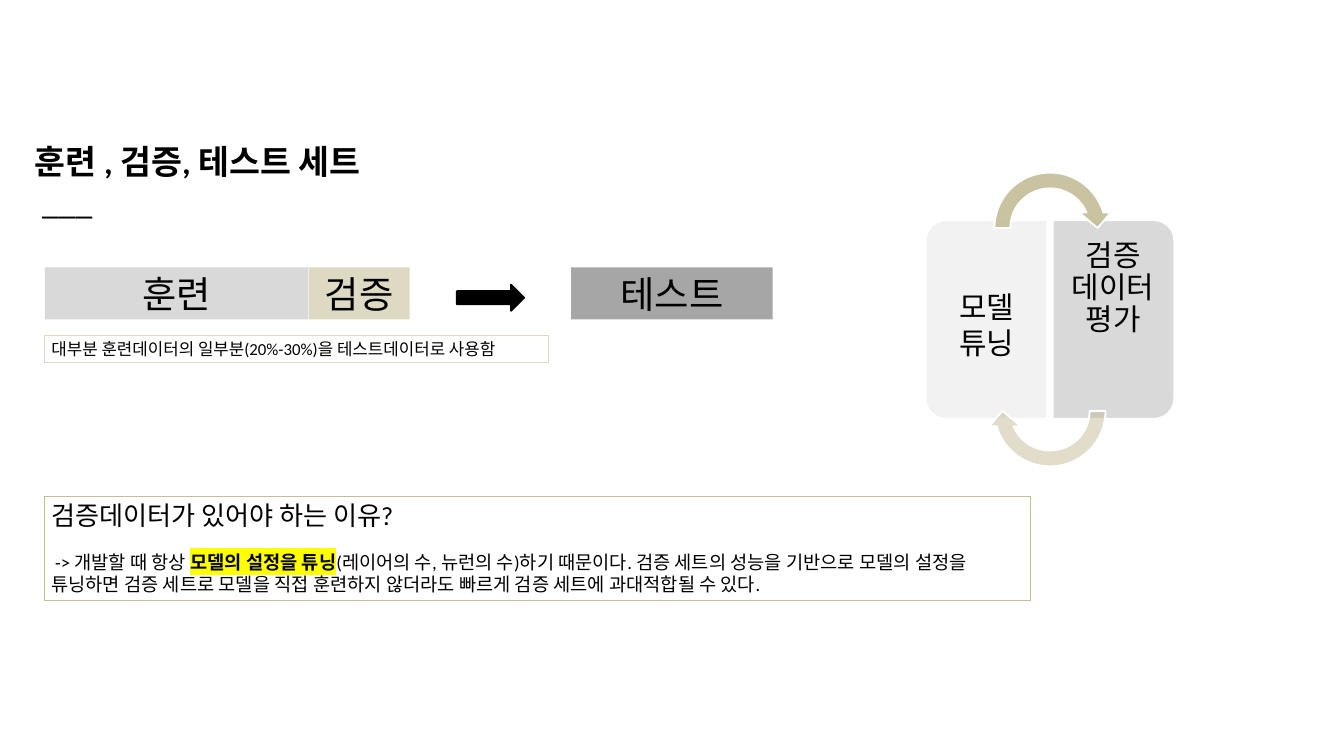
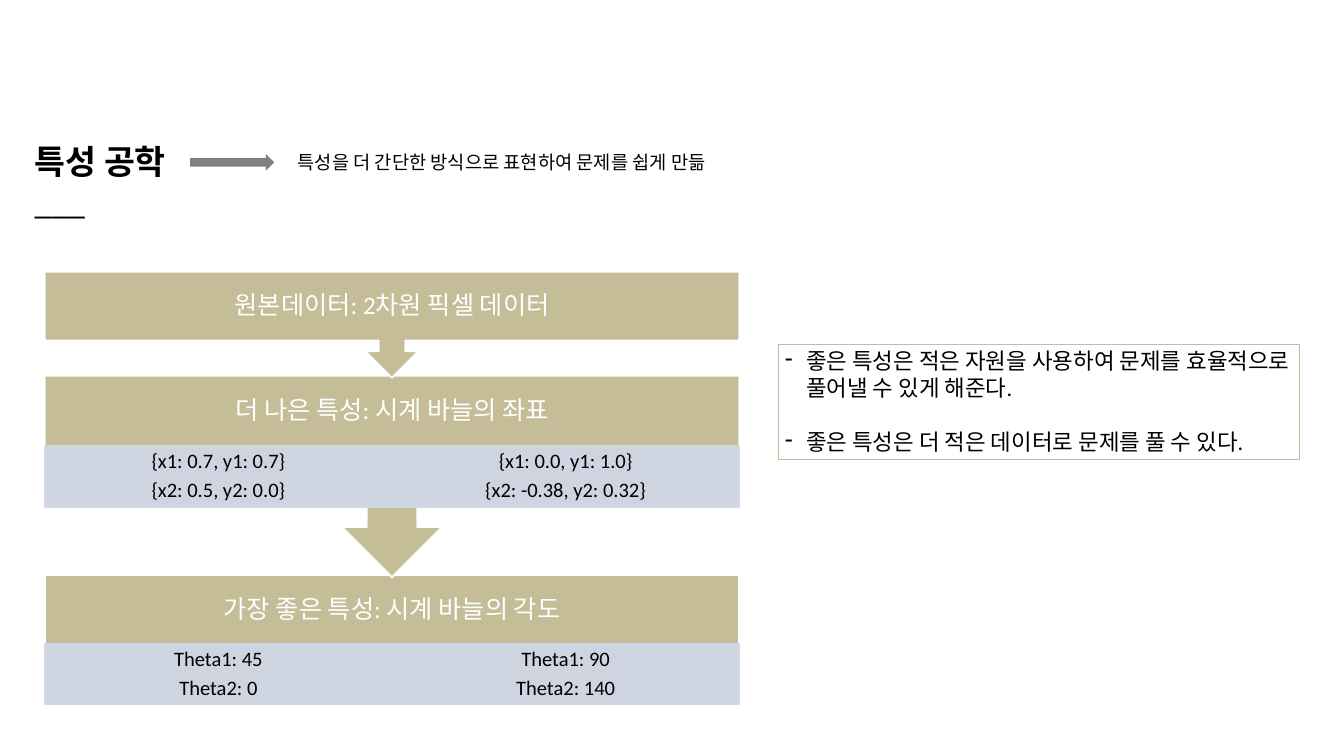
from dataclasses import dataclass

from lxml.etree import SubElement
from pptx import Presentation
from pptx.dml.color import RGBColor as RGB
from pptx.enum.shapes import MSO_SHAPE as Preset
from pptx.enum.text import MSO_ANCHOR as Anchor, PP_ALIGN as Align
from pptx.oxml.ns import qn
from pptx.util import Pt


@dataclass(frozen=True)
class Theme:
    font: str = "Calibri"
    black: str = "000000"
    white: str = "FFFFFF"
    khaki: str = "C4BD97"
    sand: str = "DDD9C3"
    pale: str = "F2F2F2"
    light: str = "D9D9D9"
    silver: str = "A6A6A6"
    grey: str = "808080"
    blue: str = "D0D8E8"
    yellow: str = "FFFF00"
    title: int = 36
    block: int = 40
    cycle: int = 32
    heading: int = 28
    stage: int = 27
    point: int = 24
    data: int = 22
    body: int = 20
    note: int = 18


theme = Theme()


def put(slide, box, preset=None, fill=None, line=None, width=0.75, alpha=None, turn=0):
    """Place a preset shape, or a text box when no preset is given."""
    frame = [Pt(length) for length in box]
    if preset is None:
        item = slide.shapes.add_textbox(*frame)
    else:
        item = slide.shapes.add_shape(preset, *frame)
        item.shadow.inherit = False
        item.rotation = turn
        if fill:
            item.fill.solid()
            item.fill.fore_color.rgb = RGB.from_string(fill)
        else:
            item.fill.background()
        if alpha:
            tint = item._element.spPr.find(qn("a:solidFill"))[0]
            SubElement(tint, qn("a:alpha"), val=str(alpha * 1000))
        if line:
            item.line.color.rgb = RGB.from_string(line)
            item.line.width = Pt(width)
        else:
            item.line.fill.background()
    item.text_frame.word_wrap = True
    return item


def write(item, lines, size, color=theme.black, align=Align.LEFT, anchor=Anchor.TOP,
          spacing=None, before=0, bullet=None):
    """Fill an item with paragraphs and return them."""
    frame = item.text_frame
    frame.vertical_anchor = anchor
    for number, text in enumerate(lines):
        para = frame.add_paragraph() if number else frame.paragraphs[0]
        para.text = text
        para.alignment = align
        if spacing:
            para.line_spacing = spacing
        if number and before:
            para.space_before = Pt(before)
        if bullet:
            props = para._p.get_or_add_pPr()
            props.set("marL", str(Pt(22.5)))
            props.set("indent", str(-Pt(22.5)))
            SubElement(props, qn("a:buChar"), char=bullet)
        para.font.name = theme.font
        para.font.size = Pt(size)
        para.font.color.rgb = RGB.from_string(color)
    return frame.paragraphs


deck = Presentation()
deck.slide_width, deck.slide_height = Pt(1440), Pt(810)

# Slides with their titles and the short rule under each
slides = []
for title, title_width, rule_indent in (
    ("훈련 , 검증, 테스트 세트", 414, 8),
    ("특성 공학", 588, 0),
):
    slide = deck.slides.add_slide(deck.slide_layouts[6])
    heading, rule = write(put(slide, (30, 147, title_width, 94)), [title, "___"], theme.title)
    heading.font.bold = True
    rule._p.get_or_add_pPr().set("marL", str(Pt(rule_indent)))
    slides.append(slide)
sets_slide, features_slide = slides

# Slide 1: training, validation and test sets
for name, left, set_width, fill in (
    ("훈련", 48, 282.5, theme.light),
    ("검증", 331, 108, theme.sand),
    ("테스트", 612, 216, theme.silver),
):
    block = put(sets_slide, (left, 286.5, set_width, 55.7), Preset.RECTANGLE, fill)
    write(block, [name], theme.block, align=Align.CENTER)
put(sets_slide, (489.6, 305, 72, 28), Preset.RIGHT_ARROW, theme.black, theme.black, 2)

share_note = put(sets_slide, (48, 359.5, 540, 29), Preset.RECTANGLE, line=theme.sand)
write(share_note, ["대부분 훈련데이터의 일부분(20%-30%)을 테스트데이터로 사용함"], theme.note)

# Why validation data is needed
reason = put(sets_slide, (48, 531.5, 1056, 111.5), Preset.RECTANGLE, line=theme.khaki)
question, answer = write(reason, ["검증데이터가 있어야 하는 이유?", ""], theme.body, before=21.6)
question.font.size = Pt(theme.heading)
answer._p.get_or_add_pPr().set("indent", str(Pt(4)))
for text, key in (
    ("-> 개발할 때 항상 ", False),
    ("모델의 설정을 튜닝", True),
    ("(레이어의 수, 뉴런의 수)하기 때문이다. 검증 세트의 성능을 기반으로 모델의 설정을 "
     "튜닝하면 검증 세트로 모델을 직접 훈련하지 않더라도 빠르게 검증 세트에 "
     "과대적합될 수 있다.", False),
):
    run = answer.add_run()
    run.text = text
    if key:
        run.font.bold = True
        marker = SubElement(run._r.get_or_add_rPr(), qn("a:highlight"))
        SubElement(marker, qn("a:srgbClr"), val=theme.yellow)

# Tuning and evaluation cycle
for left, turn, fill in ((950.4, 270, theme.pale), (1086.5, 90, theme.light)):
    half = put(sets_slide, (left, 277.2, 213, 130.3), Preset.ROUND_2_SAME_RECTANGLE,
               fill, theme.white, 2, turn=turn)
    half.adjustments[0] = 0.167
evaluation = put(sets_slide, (1128.2, 242, 124, 201))
write(evaluation, ["검증 데이터 평가"], theme.cycle, align=Align.CENTER, spacing=0.9)
evaluation.text_frame.margin_left = Pt(14.4)
evaluation.text_frame.margin_right = Pt(9.4)
evaluation.text_frame.margin_top = Pt(15.8)
for top, turn, alpha in ((176.4, 0, 90), (372.2, 180, 50)):
    loop_arrow = put(sets_slide, (1057, top, 136, 136), Preset.CIRCULAR_ARROW,
                     theme.khaki, theme.white, 2, alpha, turn)
    for index, value in enumerate((0.125, 11.423, 204.577, 108, 0.125)):
        loop_arrow.adjustments[index] = value
tuning = put(sets_slide, (1003, 306, 108, 106.5))
write(tuning, ["모델 튜닝"], theme.cycle, align=Align.CENTER)

# Slide 2: feature engineering summary
put(features_slide, (203.8, 165, 90, 18), Preset.RIGHT_ARROW, theme.grey)
write(put(features_slide, (312, 158.4, 498, 31.5)),
      ["특성을 더 간단한 방식으로 표현하여 문제를 쉽게 만듦"], theme.body)

# Stages from last to first, each with its data cells along the lower edge
cell_width, cell_height = 372, 64.8
for name, preset, top, height, cells_top, cells in (
    ("가장 좋은 특성: 시계 바늘의 각도", Preset.RECTANGLE, 616.3, 140.4, 690,
     (("Theta1: 45", "Theta2: 0"), ("Theta1: 90", "Theta2: 140"))),
    ("더 나은 특성: 시계 바늘의 좌표", Preset.DOWN_ARROW_CALLOUT, 402.5, 216, 478,
     (("{x1: 0.7, y1: 0.7}", "{x2: 0.5, y2: 0.0}"),
      ("{x1: 0.0, y1: 1.0}", "{x2: -0.38, y2: 0.32}"))),
    ("원본데이터: 2차원 픽셀 데이터", Preset.DOWN_ARROW_CALLOUT, 291, 113.8, 0, ()),
):
    stage = put(features_slide, (48, top, 2 * cell_width, height), preset,
                theme.khaki, theme.white, 2)
    write(stage, [name], theme.stage, theme.white, Align.CENTER, Anchor.MIDDLE, 0.9)
    stage.text_frame.margin_top = 0
    stage.text_frame.margin_bottom = Pt(cell_height if cells else 0)
    for column, values in enumerate(cells):
        cell = put(features_slide,
                   (48 + column * cell_width, cells_top, cell_width, cell_height),
                   Preset.RECTANGLE, theme.blue, theme.blue, 2, 90)
        write(cell, values, theme.data, align=Align.CENTER, anchor=Anchor.MIDDLE,
              spacing=0.9, before=7.7)
        cell.text_frame.margin_top = cell.text_frame.margin_bottom = Pt(2)

# Benefits of good features
benefits = put(features_slide, (834, 368.8, 558, 123.7), Preset.RECTANGLE, line=theme.khaki)
write(benefits, ["좋은 특성은 적은 자원을 사용하여 문제를 효율적으로 풀어낼 수 있게 해준다.",
                 "좋은 특성은 더 적은 데이터로 문제를 풀 수 있다."],
      theme.point, before=29, bullet="-")

deck.save("out.pptx")
